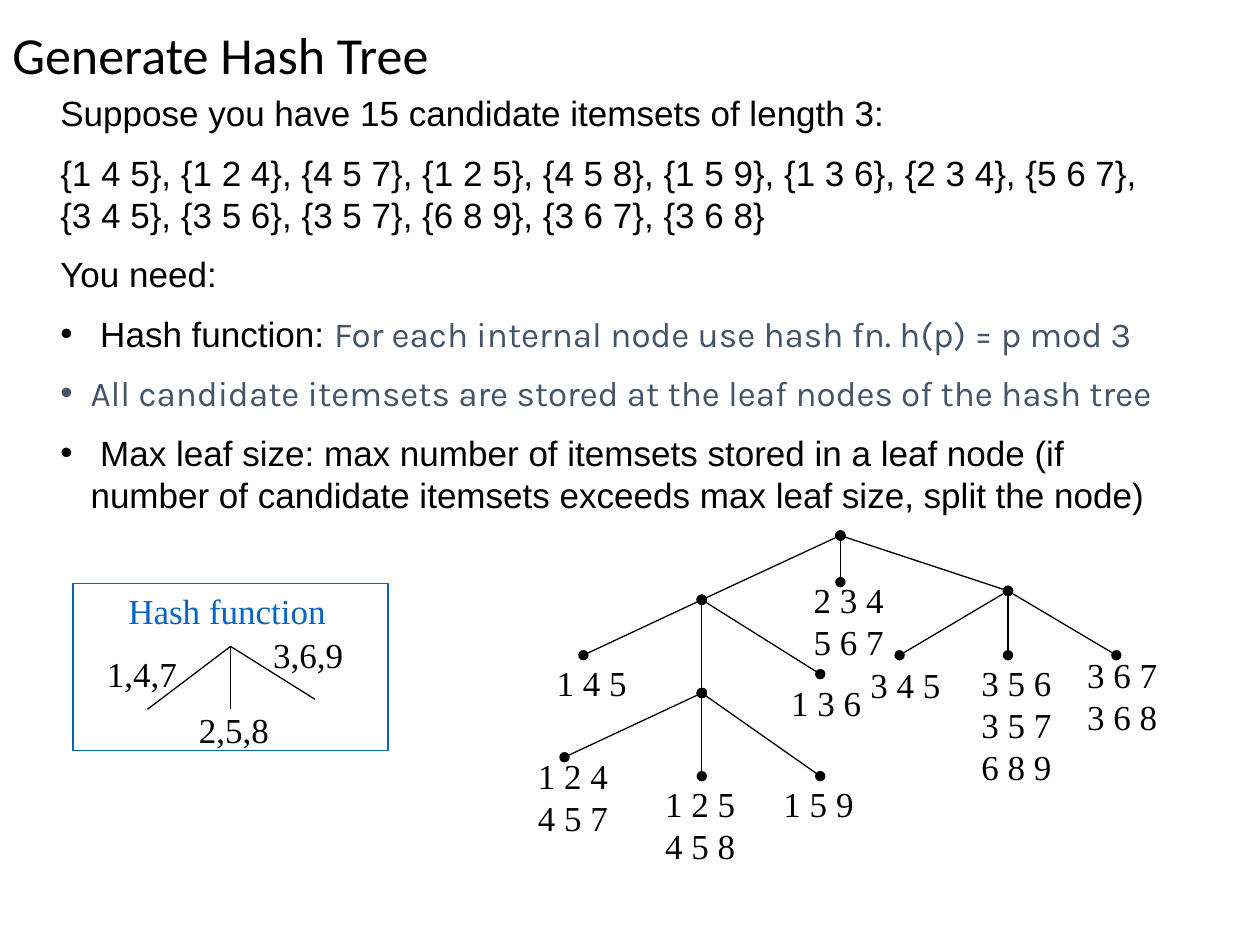
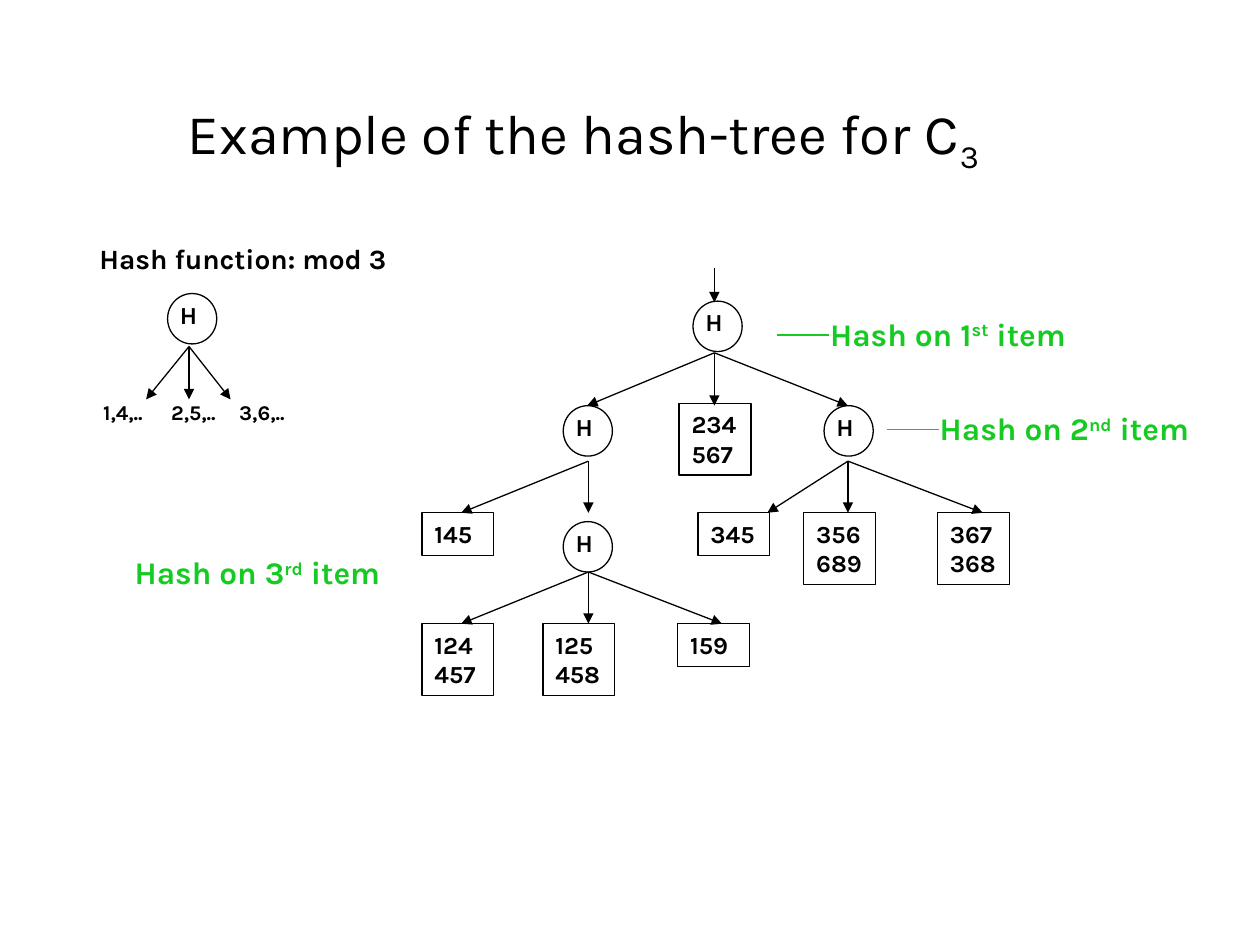
from lxml import etree
from pptx import Presentation
from pptx import util as u
from pptx.dml.color import RGBColor
from pptx.enum import shapes, text
from pptx.oxml import ns

COLOURS = {"ink": "000000", "blue": "0563C1", "slate": "44546A", "green": "15CB22"}
SANS, TITLE_FACE, SERIF, KARLA = "Arial", "Calibri", "Times New Roman", "Karla"
THIN = 0.75
LINE_HEIGHT = 0.23
LEAF_WIDTH = 0.57
NODE = (0.39, 0.4)


def colour(name):
    """Return the named colour."""
    return RGBColor.from_string(COLOURS[name])


def add_child(parent, tag, **attributes):
    """Append a DrawingML element."""
    return etree.SubElement(parent, ns.qn(tag), attributes)


def add_span(para, words, size, face, ink="ink", bold=False, baseline=0):
    """Add one run; baseline is a percentage shift."""
    span = para.add_run()
    span.text = words
    span.font.size = u.Pt(size)
    span.font.name = face
    span.font.bold = bold
    span.font.color.rgb = colour(ink)
    if baseline:
        span._r.get_or_add_rPr().set("baseline", str(baseline * 1000))
    return span


def add_box(page, left, top, width, height, wrap=False, grow=True):
    """Add an empty text box and return its text frame."""
    box = page.shapes.add_textbox(*map(u.Inches, (left, top, width, height)))
    frame = box.text_frame
    frame.word_wrap = wrap
    frame.auto_size = (text.MSO_AUTO_SIZE.SHAPE_TO_FIT_TEXT if grow
                       else text.MSO_AUTO_SIZE.NONE)
    return frame


def fill_lines(frame, lines, size, face, ink="ink", bold=False):
    """Write each string as a paragraph of its own."""
    for number, words in enumerate(lines):
        para = frame.add_paragraph() if number else frame.paragraphs[0]
        para.alignment = text.PP_ALIGN.LEFT
        add_span(para, words, size, face, ink, bold)


def add_outline(page, kind, left, top, width, height, ink="ink"):
    """Add an unfilled shape with a thin outline."""
    shape = page.shapes.add_shape(kind, *map(u.Inches, (left, top, width, height)))
    shape.shadow.inherit = False
    shape.fill.background()
    shape.line.color.rgb = colour(ink)
    shape.line.width = u.Pt(THIN)
    return shape


def add_line(page, start, end, ink="ink", head=None, tail=None):
    """Add a straight line with optional ends."""
    line = page.shapes.add_connector(
        shapes.MSO_CONNECTOR.STRAIGHT, *map(u.Inches, (*start, *end)))
    line.line.color.rgb = colour(ink)
    line.line.width = u.Pt(THIN)
    outline = line.line._get_or_add_ln()
    for tag, end_type in (("a:headEnd", head), ("a:tailEnd", tail)):
        if end_type:
            add_child(outline, tag, type=end_type)
    add_child(line._element.spPr, "a:effectLst")


def add_fan(page, start, ends, **style):
    """Join one parent point to each of its children."""
    for end in ends:
        add_line(page, start, end, **style)


def add_itemsets(page, left, top, *lines, width=0.76, ink="ink"):
    """Add serif labels, one itemset per line."""
    frame = add_box(page, left, top, width, 0.1 + 0.33 * len(lines))
    fill_lines(frame, lines, 20, SERIF, ink)


def add_body(page):
    """Add the explanation; bulleted entries hang from their marker."""
    plain, karla = (SANS, "ink"), (KARLA, "slate")
    entries = [
        (False, [("Suppose you have 15 candidate itemsets of length 3:", plain)]),
        (False, [("{1 4 5}, {1 2 4}, {4 5 7}, {1 2 5}, {4 5 8}, {1 5 9}, {1 3 6}, "
                  "{2 3 4}, {5 6 7}, {3 4 5}, {3 5 6}, {3 5 7}, {6 8 9}, {3 6 7}, "
                  "{3 6 8}", plain)]),
        (False, [("You need:", plain)]),
        (True, [(" Hash function: ", plain),
                ("For each internal node use hash fn. h(p) = p mod 3", karla)]),
        (True, [("All candidate itemsets are stored at the leaf nodes of the "
                 "hash tree", karla)]),
        (True, [(" Max leaf size: max number of itemsets stored in a leaf node (if "
                 "number of candidate itemsets exceeds max leaf size, split the "
                 "node)", plain)]),
    ]
    frame = add_box(page, 0.38, 0.68, 9.08, 3.64, wrap=True)
    for number, (bulleted, spans) in enumerate(entries):
        para = frame.add_paragraph() if number else frame.paragraphs[0]
        para.space_before = u.Pt(10)
        for words, (face, ink) in spans:
            add_span(para, words, 20, face, ink)
        if bulleted:
            properties = para._p.get_or_add_pPr()
            hang = u.Inches(0.24)
            properties.set("marL", str(hang))
            properties.set("indent", str(-hang))
            add_child(properties, "a:buFont", typeface=SANS)
            add_child(properties, "a:buChar", char="•")


def add_hash_key(page):
    """Add the framed key of the hash function."""
    add_fan(page, (1.83, 5.13), [(1.17, 5.63), (1.83, 5.63), (2.5, 5.55)])
    add_itemsets(page, 0.75, 5.13, "1,4,7")
    add_itemsets(page, 1.48, 5.57, "2,5,8")
    add_itemsets(page, 2.07, 4.98, "3,6,9")
    add_itemsets(page, 0.92, 4.63, "Hash function", width=1.77, ink="blue")
    add_outline(page, shapes.MSO_SHAPE.RECTANGLE, 0.58, 4.63, 2.5, 1.33, "blue")


def build_generate_page(page):
    """Build the page that introduces the hash tree."""
    title = add_box(page, 0, 0.17, 9.06, 0.58, wrap=True, grow=False)
    title.vertical_anchor = text.MSO_ANCHOR.MIDDLE
    title.paragraphs[0].line_spacing = 0.9
    add_span(title.paragraphs[0], "Generate Hash Tree", 29.7, TITLE_FACE)

    root, left, lower, right = (6.67, 4.25), (5.57, 4.76), (5.57, 5.5), (8, 4.69)
    branches = {
        root: [left, (6.67, 4.62), right],
        left: [(4.63, 5.2), lower, (6.51, 5.35)],
        lower: [(4.48, 6.01), (5.57, 6.16), (6.51, 6.16)],
        right: [(7.14, 5.2), (8, 5.2), (8.86, 5.2)],
    }
    for parent, children in branches.items():
        add_fan(page, parent, children, head="oval", tail="oval")
    leaves = [
        (6.36, 4.54, "2 3 4", "5 6 7"), (4.32, 5.2, "1 4 5"), (6.18, 5.36, "1 3 6"),
        (4.17, 5.94, "1 2 4", "4 5 7"), (5.18, 6.16, "1 2 5", "4 5 8"),
        (6.12, 6.16, "1 5 9"), (6.81, 5.22, "3 4 5"),
        (7.69, 5.2, "3 5 6", "3 5 7", "6 8 9"), (8.53, 5.14, "3 6 7", "3 6 8"),
    ]
    for leaf in leaves:
        add_itemsets(page, *leaf)
    add_hash_key(page)
    add_body(page)


def add_hash_node(page, left, top):
    """Add a circle marked H."""
    add_outline(page, shapes.MSO_SHAPE.OVAL, left, top, *NODE)
    frame = add_box(page, left, top, NODE[0], 0.34, wrap=True)
    fill_lines(frame, ["H"], 14, KARLA, bold=True)


def add_leaf(page, left, top, *lines):
    """Add a boxed leaf, as tall as its lines."""
    leaf = add_outline(page, shapes.MSO_SHAPE.RECTANGLE, left, top, LEAF_WIDTH,
                       0.11 + LINE_HEIGHT * len(lines))
    frame = leaf.text_frame
    frame.word_wrap = False
    frame.auto_size = text.MSO_AUTO_SIZE.SHAPE_TO_FIT_TEXT
    frame.vertical_anchor = text.MSO_ANCHOR.TOP
    fill_lines(frame, lines, 14, KARLA, bold=True)


def add_level_note(page, left, top, width, number, ordinal):
    """Add a green note saying which item is hashed."""
    para = add_box(page, left, top, width, 0.41).paragraphs[0]
    for words, shift in ((f"Hash on {number}", 0), (ordinal, 30), (" item", 0)):
        add_span(para, words, 18, KARLA, "green", True, shift)


def build_example_page(page):
    """Build the page with the worked hash tree."""
    title = add_box(page, 0.67, 0.5, 7.92, 1.17, wrap=True, grow=False)
    title.vertical_anchor = text.MSO_ANCHOR.MIDDLE
    para = title.paragraphs[0]
    para.alignment = text.PP_ALIGN.CENTER
    add_span(para, "Example of the hash-tree for C", 32, KARLA)
    add_span(para, "3", 32, KARLA, baseline=-25)

    key = add_box(page, 0.69, 1.87, 2.62, 0.37)
    fill_lines(key, ["Hash function: mod 3"], 16, KARLA, bold=True)
    for number, words in enumerate(("1,4,..", "2,5,..", "3,6,..")):
        label = add_box(page, 0.72 + 0.54 * number, 3.12, (0.69, 0.62, 0.62)[number], 0.31)
        fill_lines(label, [words], 12, KARLA, bold=True)

    fans = [
        (1.5, 2.75, 3.17, (1.16, 1.5, 1.83)),
        (5.67, 2.13, 2.4, (5.67,)),
        (5.67, 2.8, 3.22, (4.66, 5.67, 6.73)),
        (4.67, 3.66, 4.07, (3.66, 4.67)),
        (6.73, 3.66, 4.07, (6.09, 6.73, 7.8)),
        (4.67, 4.54, 4.95, (3.66, 4.67, 5.73)),
    ]
    for x, top, bottom, targets in fans:
        add_fan(page, (x, top), [(target, bottom) for target in targets],
                tail="triangle")
    for node in ((1.33, 2.33), (5.5, 2.39), (4.47, 3.22), (6.54, 3.22), (4.47, 4.14)):
        add_hash_node(page, *node)
    leaves = [
        (5.39, 3.2, "234", "567"), (3.35, 4.07, "145"), (5.54, 4.07, "345"),
        (6.38, 4.07, "356", "689"), (7.44, 4.07, "367", "368"),
        (3.35, 4.95, "124", "457"), (4.31, 4.95, "125", "458"), (5.38, 4.95, "159"),
    ]
    for leaf in leaves:
        add_leaf(page, *leaf)

    for x, y in ((6.17, 2.66), (7.04, 3.41)):
        add_line(page, (x, y), (x + 0.41, y), "green")
    add_level_note(page, 6.49, 2.45, 2.26, 1, "st")
    add_level_note(page, 7.36, 3.2, 2.32, 2, "nd")
    add_level_note(page, 0.97, 4.34, 2.28, 3, "rd")


def main():
    """Build and save the deck."""
    deck = Presentation()
    deck.slide_width, deck.slide_height = u.Inches(10), u.Inches(7.5)
    for build in (build_generate_page, build_example_page):
        build(deck.slides.add_slide(deck.slide_layouts[6]))
    deck.save("out.pptx")


main()
